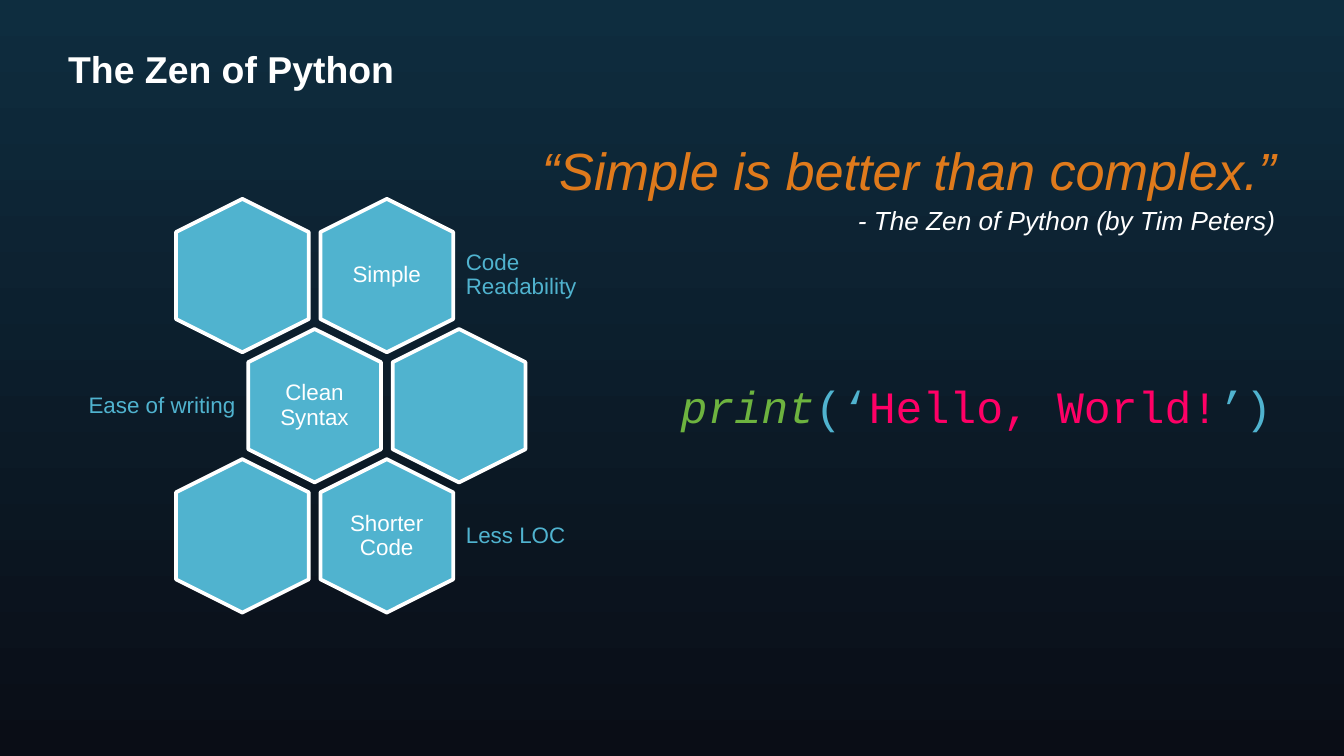
from pptx import Presentation
from pptx.dml.color import RGBColor
from pptx.enum.shapes import MSO_SHAPE as Shape
from pptx.enum.text import MSO_ANCHOR as Anchor, PP_ALIGN as Align
from pptx.util import Cm, Pt

WHITE = RGBColor(0xFF, 0xFF, 0xFF)
SKY = RGBColor(0x50, 0xB3, 0xCF)
ORANGE = RGBColor(0xDF, 0x7A, 0x1C)
GREEN = RGBColor(0x6D, 0xB3, 0x3F)
PINK = RGBColor(0xFF, 0x00, 0x66)
NIGHT_TOP = RGBColor(0x0E, 0x2D, 0x3F)
NIGHT_BOTTOM = RGBColor(0x0A, 0x0D, 0x16)

# Honeycomb, in cm
FIRST_X, FIRST_Y = 4.58, 5.21
COLUMN_STEP, ROW_STEP = 2.73, 2.46
HEX_LENGTH, HEX_WIDTH = 2.9, 2.51
CAPTION_WIDTH, CAPTION_HEIGHT = 3.25, 1.75
WORD_WIDTH, WORD_HEIGHT = 1.73, 2.0
TIGHT = 0.13

# Row: offset in columns, column of the named cell, its name, caption, caption side
ROWS = [
    (0, 1, "Simple", "Code Readability", Align.LEFT),
    (0.5, 0, "Clean Syntax", "Ease of writing", Align.RIGHT),
    (0, 1, "Shorter Code", "Less LOC", Align.LEFT),
]


class ZenSlide:
    def __init__(self, slide, font="Arial", code_font="Courier New"):
        self.slide = slide
        self.font = font
        self.code_font = code_font

    def background(self, top, bottom):
        fill = self.slide.background.fill
        fill.gradient()
        fill.gradient_angle = 270
        for stop, color in zip(fill.gradient_stops, (top, bottom)):
            stop.color.rgb = color

    def text_box(self, left, top, width, height, anchor=Anchor.TOP, inset=None):
        box = self.slide.shapes.add_textbox(Cm(left), Cm(top), Cm(width), Cm(height))
        frame = box.text_frame
        frame.word_wrap = True
        frame.vertical_anchor = anchor
        if inset is not None:
            frame.margin_left = frame.margin_right = Cm(inset)
            frame.margin_top = frame.margin_bottom = Cm(inset)
        return frame

    def line(self, frame, text, size, color, align=Align.LEFT, bold=False, italic=False):
        """Fill the frame's first paragraph, or add one after it."""
        paragraph = frame.add_paragraph() if frame.text else frame.paragraphs[0]
        paragraph.text = text
        paragraph.alignment = align
        font = paragraph.font
        font.name, font.size, font.color.rgb = self.font, Pt(size), color
        font.bold, font.italic = bold, italic
        return paragraph

    def code(self, frame, tokens, size):
        """Write (text, color, italic) tokens as one line of code."""
        paragraph = frame.paragraphs[0]
        paragraph.alignment = Align.RIGHT
        paragraph.font.name, paragraph.font.size = self.code_font, Pt(size)
        for text, color, italic in tokens:
            token = paragraph.add_run()
            token.text = text
            token.font.color.rgb = color
            token.font.italic = italic

    def hexagon(self, x, y):
        cell = self.slide.shapes.add_shape(
            Shape.HEXAGON, Cm(x - HEX_LENGTH / 2), Cm(y - HEX_WIDTH / 2),
            Cm(HEX_LENGTH), Cm(HEX_WIDTH))
        cell.rotation = 90
        cell.shadow.inherit = False
        cell.fill.solid()
        cell.fill.fore_color.rgb = SKY
        cell.line.color.rgb = WHITE
        cell.line.width = Pt(2)

    def label(self, left, y, width, height, text, color, align):
        """Write a small label centred vertically on y."""
        frame = self.text_box(left, y - height / 2, width, height, Anchor.MIDDLE, TIGHT)
        self.line(frame, text, 12, color, align).line_spacing = 0.9

    def honeycomb(self):
        for row, (offset, named, word, caption, align) in enumerate(ROWS):
            y = FIRST_Y + row * ROW_STEP
            centers = [FIRST_X + (offset + column) * COLUMN_STEP for column in range(2)]
            for x in centers:
                self.hexagon(x, y)
            x = centers[named]
            self.label(x - WORD_WIDTH / 2, y, WORD_WIDTH, WORD_HEIGHT,
                       word, WHITE, Align.CENTER)
            if align == Align.LEFT:
                left = x + COLUMN_STEP / 2
            else:
                left = x - COLUMN_STEP / 2 - CAPTION_WIDTH
            self.label(left, y, CAPTION_WIDTH, CAPTION_HEIGHT, caption, SKY, align)


def main():
    deck = Presentation()
    deck.slide_width, deck.slide_height = Cm(25.4), Cm(14.29)
    zen = ZenSlide(deck.slides.add_slide(deck.slide_layouts[6]))
    zen.background(NIGHT_TOP, NIGHT_BOTTOM)

    title = zen.text_box(1.04, 0.67, 23.32, 1.27, Anchor.MIDDLE)
    zen.line(title, "The Zen of Python", 20, WHITE, bold=True)

    quote = zen.text_box(1.07, 2.49, 23.29, 2.2)
    zen.line(quote, "“Simple is better than complex.”", 28, ORANGE, Align.RIGHT, italic=True)
    source = zen.line(quote, "- The Zen of Python (by Tim Peters)", 14, WHITE,
                      Align.RIGHT, italic=True)
    source.space_before = Pt(2)

    zen.honeycomb()

    hello = zen.text_box(11.79, 7.04, 12.5, 1.27)
    zen.code(hello, [("print", GREEN, True), ("(‘", SKY, False),
                     ("Hello, World!", PINK, False), ("’)", SKY, False)], 24)

    deck.save("out.pptx")


if __name__ == "__main__":
    main()
